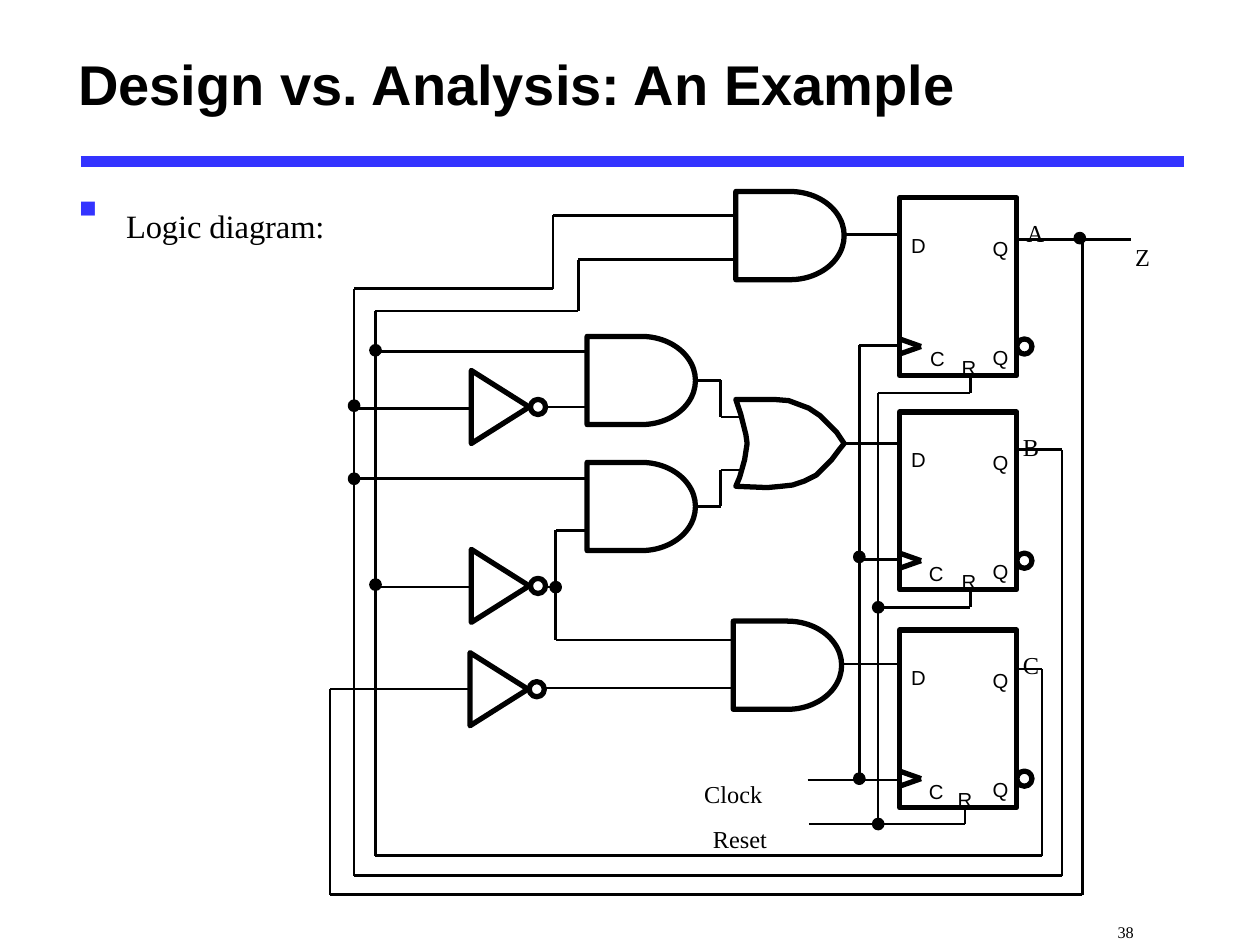
import collections

import lxml.etree
import pptx
import pptx.dml.color
import pptx.enum.shapes
import pptx.enum.text
import pptx.oxml.ns
import pptx.util

Inches, Pt = pptx.util.Inches, pptx.util.Pt
SHAPE = pptx.enum.shapes.MSO_SHAPE
ANCHOR = pptx.enum.text.MSO_ANCHOR
ALIGN = pptx.enum.text.PP_ALIGN
qn = pptx.oxml.ns.qn

Box = collections.namedtuple("Box", "left top width height")
BLACK, BLUE = "000000", "3333FF"
SERIF, SANS = "Times New Roman", "Arial"
THIN, THICK = 1.5, 3


def color(value):
    return pptx.dml.color.RGBColor.from_string(value)


def inches(*lengths):
    return [Inches(length) for length in lengths]


def inside(box, x, y, width=0, height=0):
    """Turn a place relative to box into a place on the page."""
    return Box(box.left + x, box.top + y, width, height)


def set_text(frame, text, size, font, bold=False, lowered=True):
    frame.text = text
    para = frame.paragraphs[0]
    para.font.size, para.font.name, para.font.bold = Pt(size), font, bold
    para.font.color.rgb = color(BLACK)
    if lowered:
        para.runs[0].font._element.set("baseline", "-25000")
    return para


def add_line(page, start, end, width=THIN, line_color=BLACK):
    line = page.shapes.add_connector(
        pptx.enum.shapes.MSO_CONNECTOR.STRAIGHT, *inches(*start, *end))
    line.line.width = Pt(width)
    line.line.color.rgb = color(line_color)
    lxml.etree.SubElement(line._element.spPr, qn("a:effectLst"))


def add_wire(page, box, *points, width=THIN):
    """Join points, given relative to box, by straight lines."""
    places = [(box.left + x, box.top + y) for x, y in points]
    for start, end in zip(places, places[1:]):
        add_line(page, start, end, width)


def outline(shape, width=THICK, filled=False):
    shape.shadow.inherit = False
    if filled:
        shape.fill.solid()
        shape.fill.fore_color.rgb = color(BLACK)
    else:
        shape.fill.background()
    shape.line.color.rgb = color(BLACK)
    shape.line.width = Pt(width)


def add_part(page, kind, box, width=THICK, filled=False):
    shape = page.shapes.add_shape(kind, *inches(*box))
    outline(shape, width, filled)
    return shape


def add_label(page, box, text):
    frame = page.shapes.add_textbox(*inches(*box)).text_frame
    frame.word_wrap = True
    set_text(frame, text, 24, SERIF).space_before = Pt(2)


def add_pin(page, box, text):
    frame = page.shapes.add_textbox(*inches(*box)).text_frame
    frame.word_wrap = False
    frame.vertical_anchor = ANCHOR.MIDDLE
    set_text(frame, text, 20, SANS).alignment = ALIGN.CENTER


def add_inverter(page, box):
    add_part(page, SHAPE.ISOSCELES_TRIANGLE, box).rotation = 90
    add_part(page, SHAPE.OVAL, inside(box, 0.53, 0.17, 0.12, 0.12))


def add_or_gate(page, box):
    points = [
        (0, 0), (0.04, 0.12), (0.08, 0.28), (0.09, 0.35), (0.07, 0.48),
        (0.03, 0.62), (0, 0.69), (0.25, 0.7), (0.36, 0.69), (0.45, 0.68),
        (0.54, 0.65), (0.64, 0.6), (0.7, 0.54), (0.76, 0.48), (0.82, 0.4),
        (0.86, 0.35), (0.8, 0.26), (0.74, 0.2), (0.67, 0.13), (0.58, 0.07),
        (0.5, 0.04), (0.42, 0.01), (0.3, 0)]
    places = [inches(box.left + x, box.top + y) for x, y in points]
    builder = page.shapes.build_freeform(*places[0], scale=1.0)
    builder.add_line_segments(places[1:], close=True)
    outline(builder.convert_to_shape())


def add_flip_flop(page, box, output, output_x, clock_x, reset_x):
    add_part(page, SHAPE.RECTANGLE, box)
    add_part(page, SHAPE.OVAL, inside(box, box.width, 1.12, 0.12, 0.12))
    add_wire(page, box, (0, 1.12), (0.17, 1.18), (0, 1.24), width=THICK)
    pins = [("D", -0.05, 0.07, 0.4), ("Q", 0.59, 0.09, 0.42),
            ("Q", 0.59, 0.96, 0.42), ("C", clock_x, 0.97, 0.4),
            ("R", reset_x, 1.04, 0.4)]
    for text, x, y, width in pins:
        add_pin(page, inside(box, x, y, width, 0.43), text)
    add_label(page, inside(box, output_x, -0.11, 0.52, 0.5), output)


def add_gates(page, box):
    for x, y in [(3.84, 0.52), (2.66, 1.67), (2.66, 2.67), (3.82, 3.93)]:
        add_part(page, SHAPE.FLOWCHART_DELAY, inside(box, x, y, 0.86, 0.7))
    add_or_gate(page, inside(box, 3.84, 2.17))
    for x, y in [(1.68, 2), (1.68, 3.42), (1.67, 4.24)]:
        add_inverter(page, inside(box, x, y, 0.58, 0.46))


def add_wires(page, box):
    column_a, column_b, column_c = 0.62, 0.81, 0.98
    clock, reset = 4.82, 4.97
    wires = [
        # feedback from the outputs A, B and C
        [(6.07, 0.9), (6.98, 0.9)],
        [(6.59, 0.9), (6.59, 6.1), (column_a, 6.1), (column_a, 4.47),
         (1.72, 4.47)],
        [(6.05, 2.57), (6.43, 2.57), (6.43, 5.95), (column_b, 5.95),
         (column_b, 1.29), (2.39, 1.29), (2.39, 0.71), (3.83, 0.71)],
        [(6.07, 4.31), (6.27, 4.31), (6.27, 5.79), (column_c, 5.79),
         (column_c, 1.47), (2.59, 1.47), (2.59, 1.06), (3.83, 1.06)],
        # branches to the gates
        [(column_c, 1.79), (2.64, 1.79)],
        [(column_b, 2.24), (1.72, 2.24)],
        [(column_b, 2.8), (2.66, 2.8)],
        [(column_c, 3.66), (1.73, 3.66)],
        # gate to gate
        [(2.34, 2.23), (2.66, 2.23)],
        [(2.33, 3.66), (2.41, 3.66)],
        [(2.65, 3.21), (2.41, 3.21), (2.41, 4.08), (3.82, 4.08)],
        [(2.31, 4.46), (3.81, 4.46)],
        [(3.52, 2.02), (3.72, 2.02), (3.72, 2.31), (3.89, 2.31)],
        [(3.52, 3.02), (3.72, 3.02), (3.72, 2.73), (3.89, 2.73)],
        # gate to flip-flop
        [(4.69, 0.86), (5.14, 0.86)],
        [(4.69, 2.52), (5.12, 2.52)],
        [(4.69, 4.27), (5.14, 4.27)],
        # clock and reset
        [(5.12, 1.74), (clock, 1.74), (clock, 5.19)],
        [(clock, 3.44), (5.13, 3.44)],
        [(4.41, 5.19), (5.13, 5.19)],
        [(5.7, 1.99), (5.7, 2.12), (reset, 2.12), (reset, 5.54)],
        [(reset, 3.82), (5.7, 3.82), (5.7, 3.69)],
        [(4.42, 5.54), (5.66, 5.54), (5.66, 5.42)]]
    for points in wires:
        add_wire(page, box, *points)
    junctions = [
        (6.57, 0.89), (column_c, 1.78), (column_b, 2.22), (column_b, 2.8),
        (column_c, 3.64), (2.41, 3.66), (clock, 3.42), (clock, 5.18),
        (reset, 3.82), (reset, 5.54)]
    for x, y in junctions:
        dot = inside(box, x - 0.04, y - 0.04, 0.08, 0.08)
        add_part(page, SHAPE.OVAL, dot, THIN, filled=True)


def add_circuit(page, box):
    add_gates(page, box)
    add_wires(page, box)
    for y, output, output_x, clock_x, reset_x in [
            (0.57, "A", 0.91, 0.1, 0.35), (2.27, "B", 0.88, 0.09, 0.35),
            (4, "C", 0.88, 0.09, 0.32)]:
        add_flip_flop(page, inside(box, 5.14, y, 0.93, 1.41), output,
                      output_x, clock_x, reset_x)
    for text, x, y, width in [("Clock", 3.49, 4.91, 1.09),
                              ("Reset", 3.56, 5.27, 1.09),
                              ("Z", 6.91, 0.65, 0.52)]:
        add_label(page, inside(box, x, y, width, 0.5), text)


def place(holder, box):
    holder.left, holder.top, holder.width, holder.height = inches(*box)
    holder.text_frame.auto_size = pptx.enum.text.MSO_AUTO_SIZE.NONE
    return holder.text_frame


def fill_title(page, box):
    frame = place(page.shapes.title, box)
    frame.vertical_anchor = ANCHOR.MIDDLE
    para = set_text(frame, "Design vs. Analysis: An Example", 32, SANS,
                    bold=True, lowered=False)
    para.alignment = ALIGN.LEFT
    add_line(page, (0.64, 1.28), (9.4, 1.28), 6, BLUE)


def fill_body(page, box):
    para = set_text(place(page.placeholders[1], box), "Logic diagram:", 32, SERIF)
    para.space_before = Pt(3.6)
    props = para._p.get_or_add_pPr()
    props.set("marL", str(Inches(0.38)))
    props.set("indent", str(Inches(-0.38)))
    bullet_color = lxml.etree.Element(qn("a:buClr"))
    lxml.etree.SubElement(bullet_color, qn("a:srgbClr"), val=BLUE)
    bullet_font = lxml.etree.Element(qn("a:buFont"), typeface=SANS)
    bullet = lxml.etree.Element(qn("a:buChar"), char="▪")
    for element in (bullet_color, bullet_font, bullet):
        props.find(qn("a:defRPr")).addprevious(element)


def add_page_number(page, box):
    frame = page.shapes.add_textbox(*inches(*box)).text_frame
    frame.margin_left = Inches(0.97)
    set_text(frame, "38", 16, SERIF)


def main():
    deck = pptx.Presentation()
    deck.slide_width, deck.slide_height = inches(10, 7.5)
    page = deck.slides.add_slide(deck.slide_layouts[1])
    fill_title(page, Box(0.52, 0.1, 8.91, 1.12))
    fill_body(page, Box(0.52, 1.29, 8.5, 5.5))
    add_page_number(page, Box(7.9, 7.12, 2.1, 0.38))
    add_circuit(page, Box(2, 1, 7.5, 6.3))
    deck.save("out.pptx")


if __name__ == "__main__":
    main()
